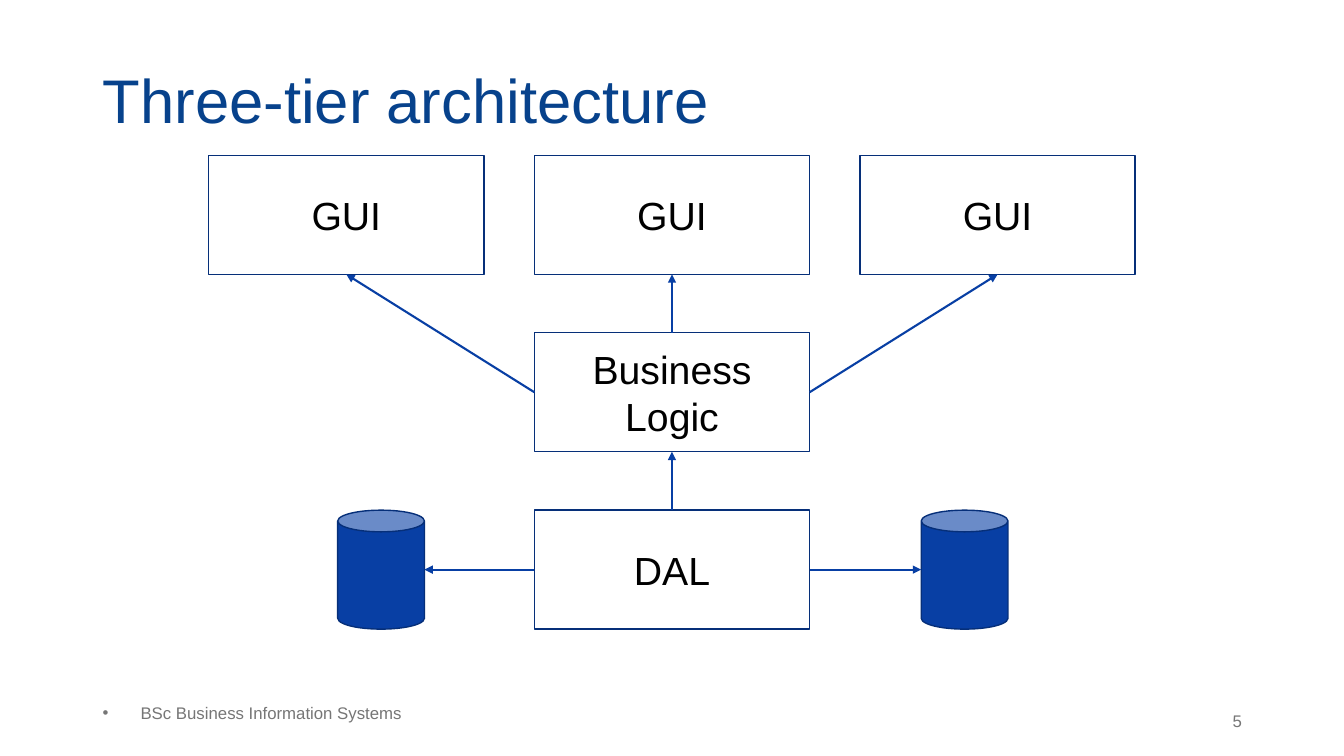
from pptx import Presentation
from pptx.dml.color import RGBColor
from pptx.enum import shapes, text
from pptx.oxml import ns
from pptx.util import Pt
from lxml import etree

COLORS = {
    "title": "07428C",
    "footer": "767676",
    "label": "000000",
    "outline": "062F79",
    "blue": "083FA4",
}
TOP, LEFT, BOTTOM, RIGHT = range(4)

# Diagram grid, in points
BOX_WIDTH, BOX_HEIGHT = 196.6, 85
COLUMN_LEFT, COLUMN_STEP = 149.1, 232.6
ROW_TOP, ROW_STEP = 111, 126.7
CAN_WIDTH = 62


def color(name):
    return RGBColor.from_string(COLORS[name])


def place(shape, left, top, width, height):
    shape.left, shape.top = Pt(left), Pt(top)
    shape.width, shape.height = Pt(width), Pt(height)


def write(shape, content, size, color_name, align=text.PP_ALIGN.LEFT,
          anchor=text.MSO_ANCHOR.TOP, line_spacing=1.0):
    frame = shape.text_frame
    frame.word_wrap = True
    frame.auto_size = text.MSO_AUTO_SIZE.NONE
    frame.vertical_anchor = anchor
    frame.text = content
    paragraph = frame.paragraphs[0]
    paragraph.alignment = align
    paragraph.line_spacing = line_spacing
    paragraph.space_before = Pt(0)
    font = paragraph.runs[0].font
    font.name, font.size = "Arial", Pt(size)
    font.color.rgb = color(color_name)


def remove_bullet(paragraph):
    properties = paragraph._p.get_or_add_pPr()
    properties.set("marL", "0")
    properties.set("indent", "0")
    etree.SubElement(properties, ns.qn("a:buNone"))


def add_outlined(slide, kind, left, top, width):
    shape = slide.shapes.add_shape(
        kind, Pt(left), Pt(top), Pt(width), Pt(BOX_HEIGHT))
    shape.shadow.inherit = False
    shape.line.color.rgb = color("outline")
    shape.line.width = Pt(1)
    return shape


def add_box(slide, label, column, row):
    box = add_outlined(slide, shapes.MSO_SHAPE.RECTANGLE,
                       COLUMN_LEFT + column * COLUMN_STEP,
                       ROW_TOP + row * ROW_STEP, BOX_WIDTH)
    box.fill.background()
    write(box, label, 28, "label", text.PP_ALIGN.CENTER,
          text.MSO_ANCHOR.MIDDLE)
    return box


def add_database(slide, left):
    can = add_outlined(slide, shapes.MSO_SHAPE.CAN, left,
                       ROW_TOP + 2 * ROW_STEP, CAN_WIDTH)
    can.fill.solid()
    can.fill.fore_color.rgb = color("blue")
    return can


def side_middle(shape, side):
    x = {LEFT: shape.left, RIGHT: shape.left + shape.width}.get(
        side, shape.left + shape.width // 2)
    y = {TOP: shape.top, BOTTOM: shape.top + shape.height}.get(
        side, shape.top + shape.height // 2)
    return x, y


def add_arrow(slide, source, source_side, target, target_side):
    arrow = slide.shapes.add_connector(
        shapes.MSO_CONNECTOR.STRAIGHT,
        *side_middle(source, source_side), *side_middle(target, target_side))
    arrow.begin_connect(source, source_side)
    if target.auto_shape_type == shapes.MSO_SHAPE.RECTANGLE:
        arrow.end_connect(target, target_side)
    arrow.line.color.rgb = color("blue")
    arrow.line.width = Pt(1.5)
    etree.SubElement(arrow.line._get_or_add_ln(), ns.qn("a:tailEnd"),
                     type="triangle")
    etree.SubElement(arrow._element.spPr, ns.qn("a:effectLst"))


def main():
    presentation = Presentation()
    presentation.slide_width, presentation.slide_height = Pt(960), Pt(540)
    slide = presentation.slides.add_slide(presentation.slide_layouts[1])

    # Title
    title = slide.shapes.title
    place(title, 66.2, 37.4, 675.4, 67.7)
    write(title, "Three-tier architecture", 44, "title",
          anchor=text.MSO_ANCHOR.BOTTOM, line_spacing=0.9)
    frame = title.text_frame
    frame.margin_left = frame.margin_right = Pt(7.2)
    frame.margin_top = frame.margin_bottom = Pt(7.2)

    # Footer and slide number
    footer = slide.placeholders[1]
    place(footer, 66.2, 499.7, 244.1, 29.5)
    remove_bullet(footer.text_frame.paragraphs[0])
    write(footer, "BSc Business Information Systems", 12, "footer",
          line_spacing=0.9)
    number = slide.shapes.add_textbox(Pt(733.7), Pt(500.4), Pt(160.6), Pt(28.8))
    write(number, "5", 12, "footer", text.PP_ALIGN.RIGHT,
          text.MSO_ANCHOR.MIDDLE)

    # Tiers
    guis = [add_box(slide, "GUI", column, 0) for column in range(3)]
    logic = add_box(slide, "Business Logic", 1, 1)
    access = add_box(slide, "DAL", 1, 2)
    left_database, right_database = [
        add_database(slide, left) for left in (241.2, 658)]

    # Arrows between the tiers
    for gui, side in zip(guis, (LEFT, TOP, RIGHT)):
        add_arrow(slide, logic, side, gui, BOTTOM)
    add_arrow(slide, access, TOP, logic, BOTTOM)
    add_arrow(slide, access, RIGHT, right_database, LEFT)
    add_arrow(slide, access, LEFT, left_database, RIGHT)

    presentation.save("out.pptx")


if __name__ == "__main__":
    main()
